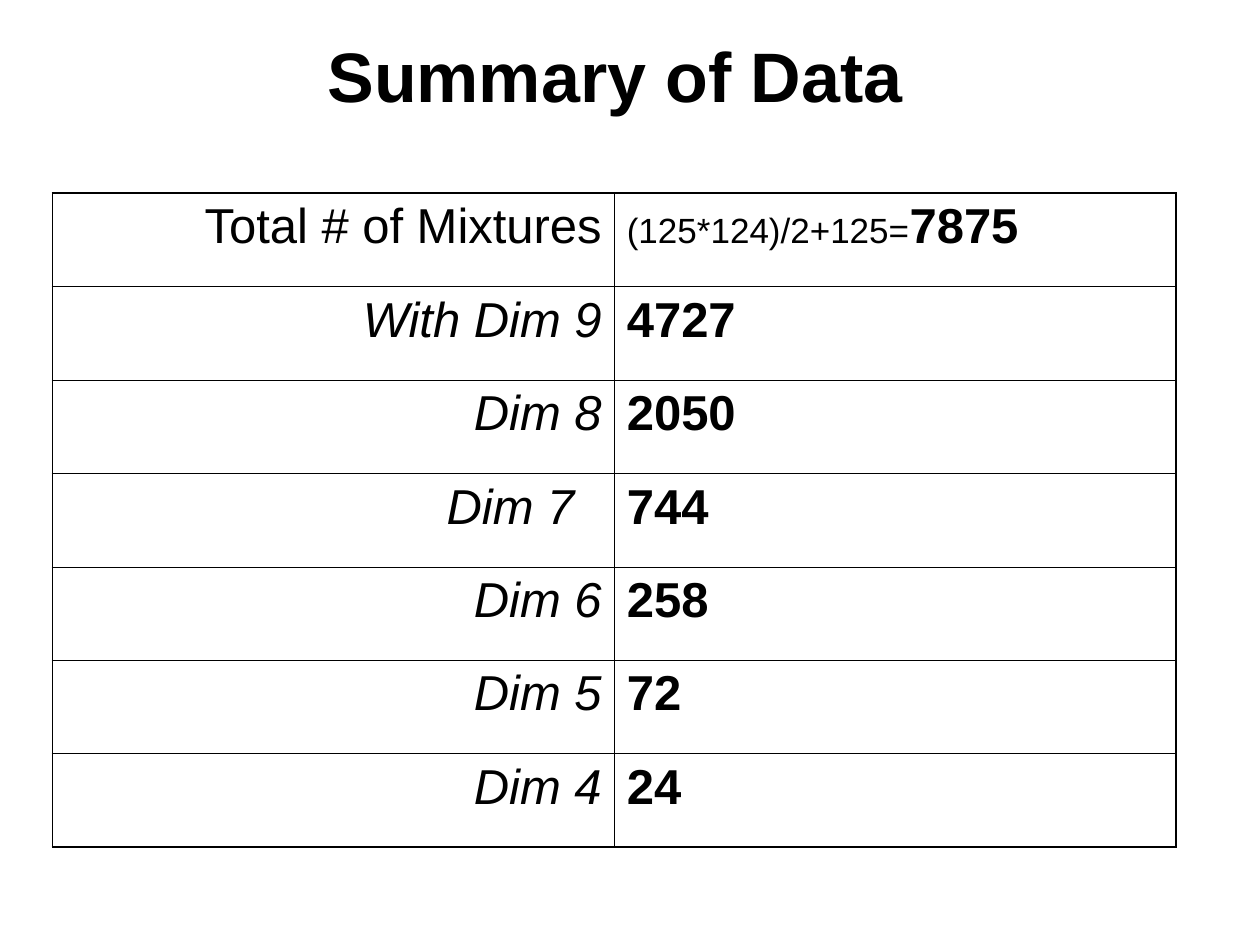
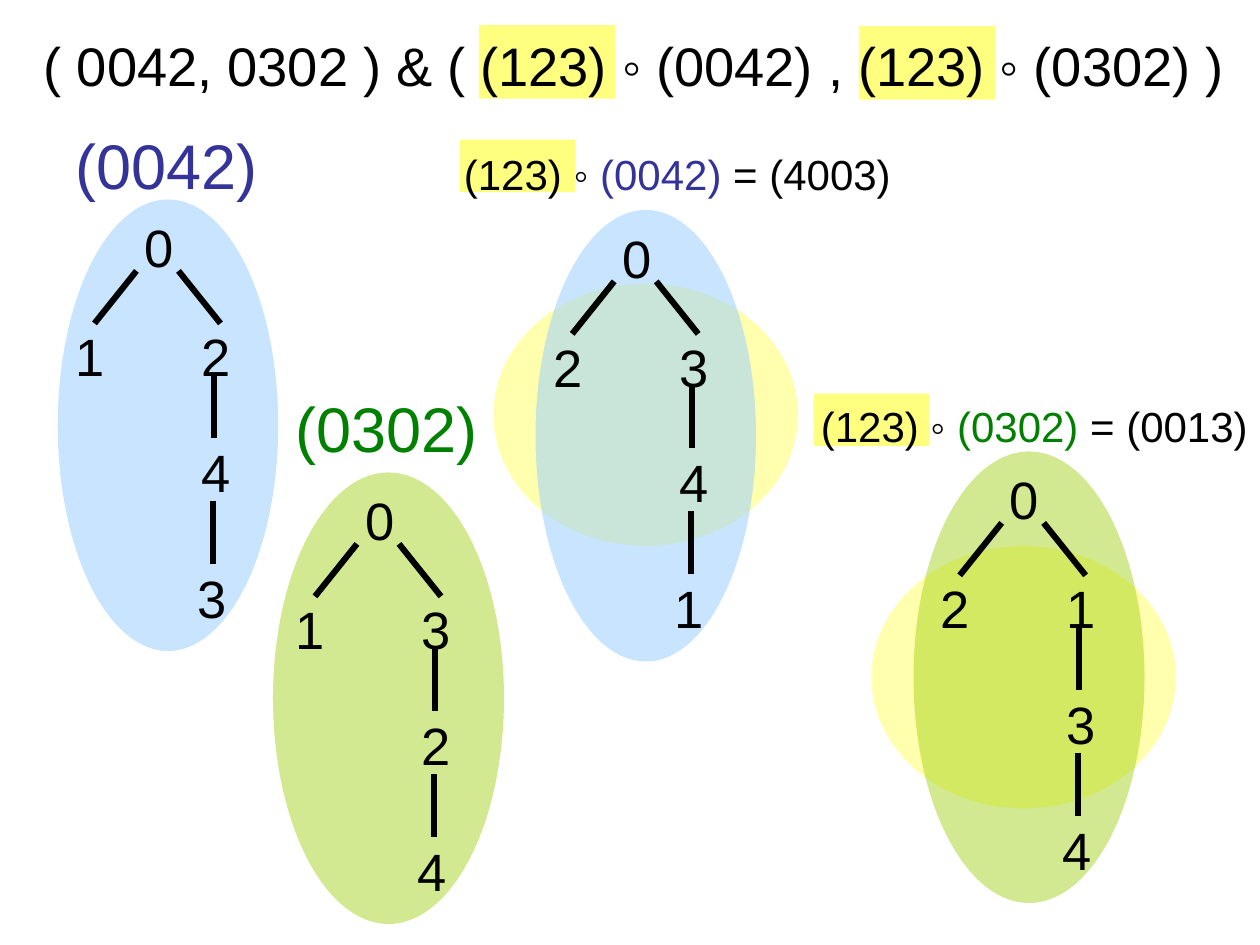
from dataclasses import dataclass

from lxml import etree
from pptx import Presentation
from pptx.dml.color import RGBColor
from pptx.enum import shapes, text
from pptx.oxml import ns
from pptx.util import Emu, Pt

PX = 7620  # EMU in one px, 120 px to the inch


@dataclass(frozen=True)
class Theme:
    font: str = "Arial"
    black: str = "000000"
    navy: str = "333399"
    green: str = "008000"
    # fills: colour and opacity in percent
    highlight: tuple = ("FFFF00", 50)
    halo: tuple = ("FFFF99", 80)
    blue_tree: tuple = ("99CCFF", 53)
    green_tree: tuple = ("99CC00", 43)
    # type sizes
    title: int = 40
    tree_name: int = 36
    heading: int = 31
    node: int = 30
    cell: int = 28
    label: int = 24
    formula: int = 20
    # line widths
    branch: float = 3.5
    outer_border: float = 1.08
    inner_border: float = 0.45


THEME = Theme()


def px(value):
    return Emu(value * PX)


class Deck:
    def __init__(self, theme):
        self.theme = theme
        self.presentation = Presentation()
        self.presentation.slide_width = px(1200)
        self.presentation.slide_height = px(900)
        self.slide = None

    def new_slide(self):
        self.slide = self.presentation.slides.add_slide(
            self.presentation.slide_layouts[6])

    def run(self, paragraph, words, size, color=None, bold=False, italic=False):
        run = paragraph.add_run()
        run.text = words
        font = run.font
        font.name, font.size = self.theme.font, Pt(size)
        font.bold, font.italic = bold, italic
        font.color.rgb = RGBColor.from_string(color or self.theme.black)

    def text(self, left, top, width, height, size, *runs, bold=False):
        """Each run is a pair of words and colour."""
        box = self.slide.shapes.add_textbox(
            px(left), px(top), px(width), px(height))
        frame = box.text_frame
        frame.word_wrap = True
        frame.margin_left, frame.margin_right = px(12), 0
        frame.margin_top, frame.margin_bottom = px(11), 0
        for words, color in runs:
            self.run(frame.paragraphs[0], words, size, color, bold)

    def patch(self, kind, left, top, width, height, fill):
        """A see-through shape without outline."""
        shape = self.slide.shapes.add_shape(
            kind, px(left), px(top), px(width), px(height))
        color, opacity = fill
        shape.shadow.inherit = False
        shape.fill.solid()
        shape.fill.fore_color.rgb = RGBColor.from_string(color)
        shape.line.fill.background()
        color_xml = shape.fill._xPr.find(".//" + ns.qn("a:srgbClr"))
        etree.SubElement(color_xml, ns.qn("a:alpha"), val=str(opacity * 1000))

    def rectangle(self, *place, fill):
        self.patch(shapes.MSO_SHAPE.RECTANGLE, *place, fill)

    def ellipse(self, *place, fill):
        self.patch(shapes.MSO_SHAPE.OVAL, *place, fill)

    def line(self, x1, y1, x2, y2):
        line = self.slide.shapes.add_connector(
            shapes.MSO_CONNECTOR.STRAIGHT, px(x1), px(y1), px(x2), px(y2))
        line.line.width = Pt(self.theme.branch)
        line.line.color.rgb = RGBColor.from_string(self.theme.black)
        etree.SubElement(line._element.spPr, ns.qn("a:effectLst"))

    def border(self, cell, side, width):
        line = etree.SubElement(cell._tc.get_or_add_tcPr(), ns.qn("a:ln" + side),
                                w=str(int(Pt(width))))
        fill = etree.SubElement(line, ns.qn("a:solidFill"))
        etree.SubElement(fill, ns.qn("a:srgbClr"), val=self.theme.black)

    def table(self, left, top, column_width, row_height, rows):
        """Each cell is a list of runs: words, size, bold, italic."""
        row_count, column_count = len(rows), len(rows[0])
        table = self.slide.shapes.add_table(
            row_count, column_count, px(left), px(top),
            px(column_width * column_count), px(row_height * row_count)).table
        table.first_row = table.horz_banding = False
        for column in table.columns:
            column.width = px(column_width)
        for r, row in enumerate(rows):
            table.rows[r].height = px(row_height)
            for c, runs in enumerate(row):
                cell = table.cell(r, c)
                outer_sides = {"L": c == 0, "R": c == column_count - 1,
                               "T": r == 0, "B": r == row_count - 1}
                for side, outer in outer_sides.items():
                    self.border(cell, side, self.theme.outer_border if outer
                                else self.theme.inner_border)
                cell.fill.background()
                cell.margin_left = cell.margin_right = px(12)
                cell.margin_top = cell.margin_bottom = px(6)
                paragraph = cell.text_frame.paragraphs[0]
                paragraph.alignment = (text.PP_ALIGN.RIGHT if c == 0
                                       else text.PP_ALIGN.LEFT)
                for words, size, bold, italic in runs:
                    self.run(paragraph, words, size, bold=bold, italic=italic)
        return table

    def tree(self, x, y, nodes):
        """Root at x, y; nodes: root, left, right, below right, lowest."""
        places = [(0, 0), (-66, 104), (54, 104), (54, 214), (50, 334)]
        branches = [(4, 64, -36, 114), (44, 64, 84, 114),
                    (78, 163, 78, 223), (77, 283, 77, 343)]
        for x1, y1, x2, y2 in branches:
            self.line(x + x1, y + y1, x + x2, y + y2)
        for node, (dx, dy) in zip(nodes, places):
            self.text(x + dx, y + dy, 60, 72, self.theme.node, (node, None))


def build_summary(deck):
    theme = deck.theme
    deck.new_slide()
    deck.text(300, 20, 750, 92, theme.title, ("Summary of Data", None), bold=True)

    # Counts by dimension
    counts = [("With Dim 9", "4727"), ("Dim 8", "2050"), ("Dim 7", "744"),
              ("Dim 6", "258"), ("Dim 5", "72"), ("Dim 4", "24")]
    rows = [([("Total # of Mixtures", theme.cell, False, False)],
             [("(125*124)/2+125=", theme.formula, False, False),
              ("7875", theme.cell, True, False)])]
    rows += [([(name, theme.cell, False, True)], [(count, theme.cell, True, False)])
             for name, count in counts]
    table = deck.table(50, 184, 535, 89, rows)
    table.cell(3, 0).margin_right = px(38)  # Dim 7 is set in from the edge


def build_trees(deck):
    theme = deck.theme
    deck.new_slide()

    # Heading with both permutations highlighted
    for left, top in [(456, 24), (818, 25)]:
        deck.rectangle(left, top, 130, 70, fill=theme.highlight)
    deck.text(30, 20, 1170, 75, theme.heading,
              ("( 0042, 0302 ) & ( (123) ◦ (0042) , (123) ◦ (0302) )", None))

    # Starting trees: name, its colour and place, ellipse, root, nodes
    starting_trees = [
        ("(0042)", theme.navy, (60, 110), (55, 190, 210, 430), theme.blue_tree,
         (126, 194), "01243"),
        ("(0302)", theme.green, (270, 360), (260, 450, 220, 430), theme.green_tree,
         (336, 454), "01324"),
    ]
    for name, color, place, oval, fill, root, nodes in starting_trees:
        deck.ellipse(*oval, fill=fill)
        deck.tree(*root, nodes)
        deck.text(*place, 290, 84, theme.tree_name, (name, color))

    # Permuted trees: label and its highlight, halo behind the ellipse, tree
    permuted_trees = [
        ("(0042)", " = (4003)", theme.navy, (430, 130), (438, 133), (470, 270),
         (510, 200, 210, 430), theme.blue_tree, (581, 204), "02341"),
        ("(0302)", " = (0013)", theme.green, (770, 370), (775, 375), (830, 520),
         (870, 430, 220, 430), theme.green_tree, (950, 434), "02134"),
    ]
    for (name, result, color, place, mark, halo,
         oval, fill, root, nodes) in permuted_trees:
        deck.rectangle(*mark, 110, 50, fill=theme.highlight)
        deck.ellipse(*halo, 290, 250, fill=theme.halo)
        deck.ellipse(*oval, fill=fill)
        deck.text(*place, 430, 60, theme.label,
                  ("(123) ◦ ", None), (name, color), (result, None))
        deck.tree(*root, nodes)


def main():
    deck = Deck(THEME)
    build_summary(deck)
    build_trees(deck)
    deck.presentation.save("out.pptx")


if __name__ == "__main__":
    main()
